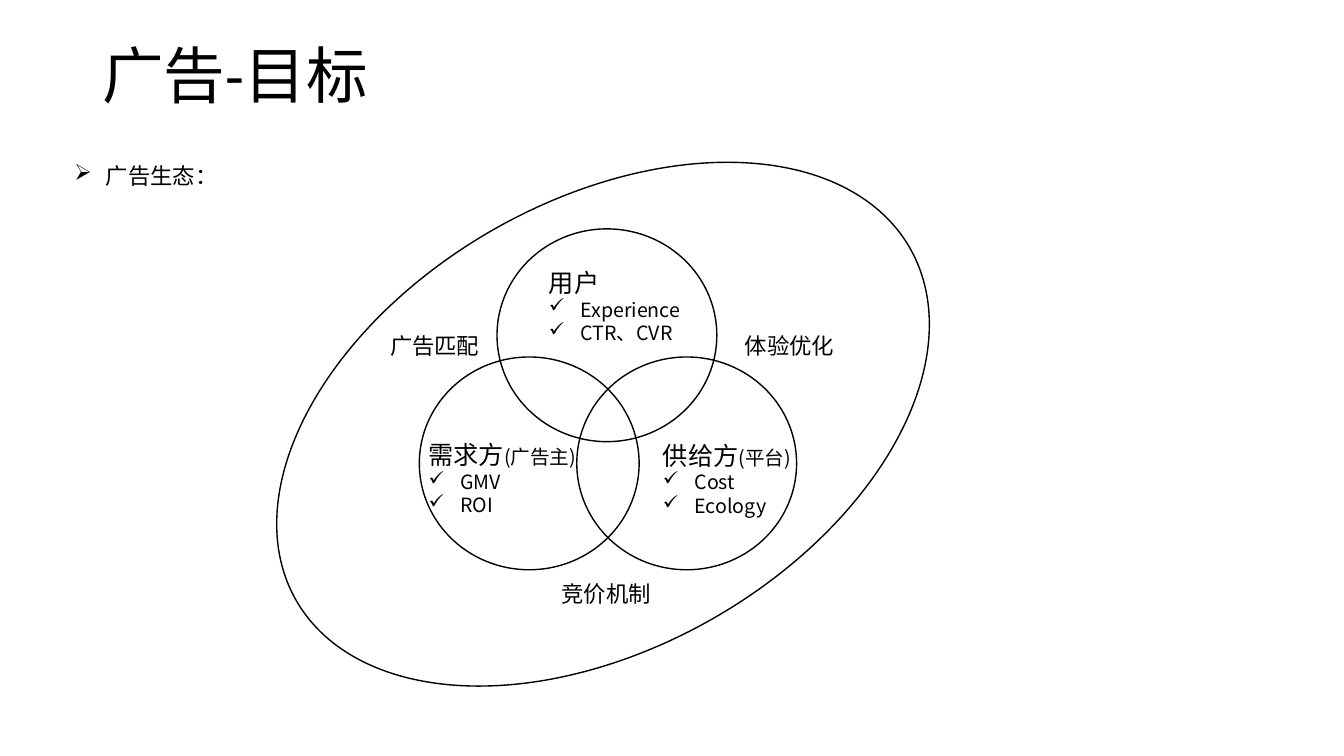
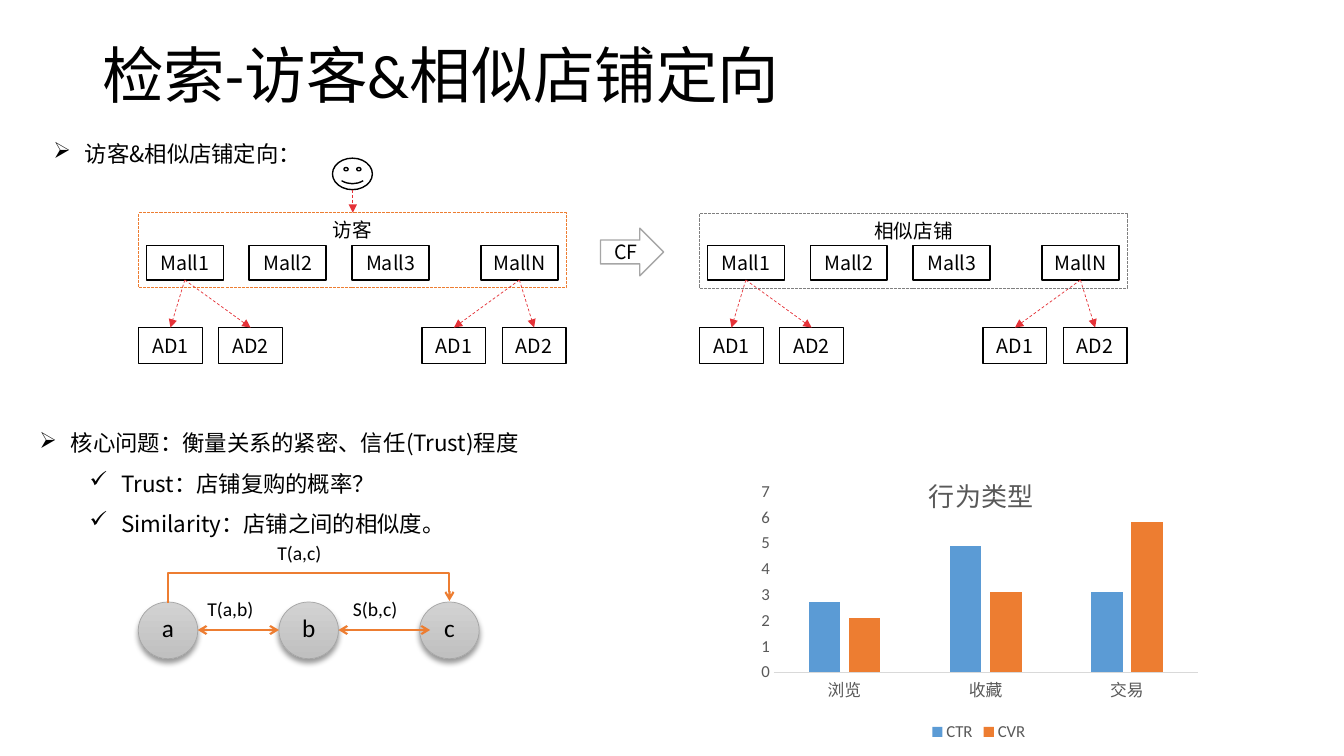
from dataclasses import dataclass

from lxml import etree
from pptx import Presentation
from pptx import util as u
from pptx.chart import data as chart_data
from pptx.dml import color as dml_color
from pptx.enum import chart as chart_enum
from pptx.enum import dml, shapes, text
from pptx.oxml import ns

Pt = u.Pt
SHAPE = shapes.MSO_SHAPE
LATIN, CJK = "Calibri", "Noto Sans CJK SC"
COLORS = {
    "ink": "000000", "orange": "ED7D31", "blue": "5B9BD5", "red": "E53238",
    "gray": "A6A6A6", "frame": "7F7F7F", "axis": "D9D9D9", "label": "595959",
    "node_top": "D2D2D2", "node_bottom": "C0C0C0", "node_edge": "A5A5A5",
}
CENTER, LEFT = text.PP_ALIGN.CENTER, text.PP_ALIGN.LEFT
TOP, MIDDLE = text.MSO_ANCHOR.TOP, text.MSO_ANCHOR.MIDDLE
BULLET_INDENT = 22.5


def rgb(name):
    return dml_color.RGBColor.from_string(COLORS[name])


def add_xml(parent, tag, **attributes):
    return etree.SubElement(parent, ns.qn(tag), {k: str(v) for k, v in attributes.items()})


@dataclass
class Para:
    runs: list
    bullet: str = ""
    margin: float = BULLET_INDENT
    spacing: float = 1.0


class Deck:
    """Shared style and the slide being drawn."""

    def __init__(self):
        self.prs = Presentation()
        self.prs.slide_width, self.prs.slide_height = Pt(960), Pt(540)
        self.slide = None

    def new_slide(self, title):
        self.slide = self.prs.slides.add_slide(self.prs.slide_layouts[6])
        self.text((66, 28.75, 828, 104.5), [Para([(title, 44)], spacing=0.9)], font=LATIN)

    def font(self, font, size, name=CJK, color="ink"):
        font.size, font.name = Pt(size), name
        font.color.rgb = rgb(color)

    def fill_text(self, frame, paras, font, align, anchor):
        frame.word_wrap, frame.vertical_anchor = True, anchor
        for index, para in enumerate(paras):
            p = frame.paragraphs[0] if index == 0 else frame.add_paragraph()
            p.alignment = align
            if para.bullet:
                props = p._p.get_or_add_pPr()
                props.set("marL", str(Pt(para.margin)))
                props.set("indent", str(-Pt(BULLET_INDENT)))
                add_xml(props, "a:buChar", char=para.bullet)
            if para.spacing != 1:
                p.line_spacing = para.spacing
            for words, size in para.runs:
                run = p.add_run()
                run.text = words
                if len(para.runs) > 1:
                    self.font(run.font, size, font)
            if len(para.runs) == 1:
                self.font(p.font, para.runs[0][1], font)

    def text(self, box, paras, font=CJK, align=LEFT, anchor=TOP):
        frame = self.slide.shapes.add_textbox(*map(Pt, box)).text_frame
        self.fill_text(frame, paras, font, align, anchor)

    def label(self, box, words, size=16, font=CJK, align=CENTER):
        self.text(box, [Para([(words, size)])], font, align)

    def shape(self, kind, box, words="", line="ink", width=1.0, dash=None, anchor=MIDDLE):
        shape = self.slide.shapes.add_shape(kind, *map(Pt, box))
        shape.shadow.inherit = False
        shape.fill.background()
        shape.line.color.rgb = rgb(line)
        shape.line.width = Pt(width)
        if dash:
            shape.line.dash_style = dash
        if words:
            self.fill_text(shape.text_frame, [Para([(words, 14)])], CJK, CENTER, anchor)
        return shape

    def node(self, box):
        node = self.shape(SHAPE.OVAL, box, line="node_edge", width=0.5)
        node.fill.gradient()
        node.fill.gradient_angle = 270
        for stop, name in zip(node.fill.gradient_stops, ("node_top", "node_bottom")):
            stop.color.rgb = rgb(name)
        effects = node._element.spPr.find(ns.qn("a:effectLst"))
        shadow = add_xml(effects, "a:outerShdw", blurRad=Pt(4), dist=Pt(3),
                         dir=5400000, rotWithShape=0)
        add_xml(add_xml(shadow, "a:srgbClr", val=COLORS["ink"]), "a:alpha", val=40000)

    def arrow(self, start, end, color="red", width=0.5, dash=dml.MSO_LINE.DASH,
              head=None, tail="triangle", kind=shapes.MSO_CONNECTOR.STRAIGHT):
        link = self.slide.shapes.add_connector(kind, *map(Pt, (*start, *end)))
        link.line.color.rgb = rgb(color)
        link.line.width = Pt(width)
        if dash:
            link.line.dash_style = dash
        outline = link._element.spPr.find(ns.qn("a:ln"))
        if head:
            add_xml(outline, "a:headEnd", type=head)
        add_xml(outline, "a:tailEnd", type=tail)
        add_xml(link._element.spPr, "a:effectLst")
        return link

    def relation(self, start, end, **options):
        return self.arrow(start, end, "orange", 1.5, None, tail="arrow", **options)

    def bridge(self, left, right, y, rise):
        middle, half, depth = (left + right) / 2, (right - left) / 2, 1.5
        link = self.relation((middle + depth / 2, y + half), (middle - depth / 2, y - half),
                             kind=shapes.MSO_CONNECTOR.ELBOW)
        props = link._element.spPr
        props.find(ns.qn("a:xfrm")).set("rot", "5400000")
        guides = props.find(ns.qn("a:prstGeom")).get_or_add_avLst()
        bend = round((rise + depth / 2) / depth * 100000)
        add_xml(guides, "a:gd", name="adj1", fmla=f"val {bend}")

    def place(self, parent, **edges):
        layout = parent.find(ns.qn("c:layout"))
        if layout is None:
            layout = add_xml(parent, "c:layout")
            parent.insert(0, layout)
        manual = add_xml(layout, "c:manualLayout")
        if "w" in edges:
            add_xml(manual, "c:layoutTarget", val="inner")
        for tag, value in (("xMode", "edge"), ("yMode", "edge"), *edges.items()):
            add_xml(manual, f"c:{tag}", val=value)

    def chart(self, box, title, categories, series):
        values = chart_data.CategoryChartData()
        values.categories = categories
        for name, numbers, _ in series:
            values.add_series(name, numbers)
        chart = self.slide.shapes.add_chart(
            chart_enum.XL_CHART_TYPE.COLUMN_CLUSTERED, *map(Pt, box), values).chart
        self.font(chart.font, 12, LATIN, "label")

        chart.has_title = True
        heading = chart.chart_title.text_frame.paragraphs[0]
        heading.add_run().text = title
        self.font(heading.font, 18.6, LATIN, "label")
        heading.font.bold = False
        title_xml = chart.chart_title._element
        self.place(title_xml, x=0.38, y=0.17)
        title_xml.find(ns.qn("c:overlay")).set("val", "1")
        self.place(chart._chartSpace.chart.plotArea, x=0.05, y=0.24, w=0.93, h=0.54)

        chart.has_legend = True
        chart.legend.position = chart_enum.XL_LEGEND_POSITION.BOTTOM
        chart.legend.include_in_layout = False
        self.font(chart.legend.font, 12, LATIN, "label")

        for axis in (chart.category_axis, chart.value_axis):
            axis.major_tick_mark = axis.minor_tick_mark = chart_enum.XL_TICK_MARK.NONE
            axis.has_major_gridlines = False
            self.font(axis.tick_labels.font, 12, LATIN, "label")
        chart.category_axis.format.line.color.rgb = rgb("axis")
        chart.category_axis.format.line.width = Pt(0.75)
        scale = chart.value_axis
        scale.format.line.fill.background()
        scale.minimum_scale, scale.maximum_scale, scale.major_unit = 0, 7, 1

        plot = chart.plots[0]
        plot.gap_width, plot.overlap, plot.vary_by_categories = 219, -27, False
        for bars, (_, _, color) in zip(plot.series, series):
            bars.format.fill.solid()
            bars.format.fill.fore_color.rgb = rgb(color)


def build_goals(deck):
    deck.new_slide("广告-目标")
    deck.text((46, 112.25, 164, 26.75), [Para([("广告生态：", 16)], "➢")])
    for left, top in ((355, 163.5), (299.5, 255), (412, 255)):
        deck.shape(SHAPE.OVAL, (left, top, 157, 152))
    parties = (
        ((299, 303, 137.5, 77), [("需求方", 18), ("(广告主)", 14)], ("GMV", "ROI")),
        ((466.5, 303.5, 111, 77), [("供给方", 18), ("(平台)", 14)], ("Cost", "Ecology")),
        ((385, 180, 111, 77), [("用户", 18)], ("Experience", "CTR、CVR")),
    )
    for box, heading, goals in parties:
        checks = [Para([(goal, 14)], "✓") for goal in goals]
        deck.text(box, [Para(heading), *checks], anchor=MIDDLE)
    deck.shape(SHAPE.OVAL, (178, 143.5, 505.5, 319)).rotation = 330.1
    for words, left, top in (("广告匹配", 263, 234), ("竞价机制", 385.5, 410.5),
                             ("体验优化", 516.5, 234)):
        deck.label((left, top, 95, 26.5), words)


def build_shop_group(deck, left, top, name, color):
    mall_top, mall_w, mall_h = 175.5, 55, 24.5
    ad_top, ad_w, ad_gap = 234, 45.5, 57.25
    deck.shape(SHAPE.RECTANGLE, (left, top, 305.5, 53.5), name, color, 0.75,
               dml.MSO_LINE.SQUARE_DOT, TOP)
    malls = {"Mall1": 5.5, "Mall2": 79, "Mall3": 152.5, "MallN": 244.5}
    for mall, offset in malls.items():
        deck.shape(SHAPE.RECTANGLE, (left + offset, mall_top, mall_w, mall_h), mall)
    for mall, first_ad in (("Mall1", 0), ("MallN", 202.5)):
        source = (left + malls[mall] + mall_w / 2, mall_top + mall_h)
        for index in range(2):
            ad_left = left + first_ad + index * ad_gap
            deck.shape(SHAPE.RECTANGLE, (ad_left, ad_top, ad_w, 25.5), f"AD{index + 1}")
            deck.arrow(source, (ad_left + ad_w / 2, ad_top))


def build_trust_graph(deck):
    first, step, size, axis_y = 98.75, 100.5, 42.5, 450
    lefts = [first + index * step for index in range(3)]
    for left, name in zip(lefts, "abc"):
        deck.node((left, 430, size, 40.5))
        deck.label((left - 10, 434, 62.5, 34), name, 18, LATIN)
    deck.relation((lefts[0] + size, axis_y), (lefts[1], axis_y), head="arrow")
    deck.relation((lefts[1] + size, axis_y), (lefts[2] + 7.5, axis_y), head="arrow")
    deck.bridge(lefts[0] + size / 2, lefts[2] + size / 2, 430, 20.5)
    for words, left, top in (("T(a,b)", 141, 422.5), ("S(b,c)", 245, 422.5),
                             ("T(a,c)", 191, 383)):
        deck.label((left, top, 58.5, 28), words, 14, LATIN, LEFT)


def build_retrieval(deck):
    deck.new_slide("检索-访客&相似店铺定向")
    deck.text((31, 96.5, 772, 46), [Para([("访客&相似店铺定向：", 16)], "➢")])
    deck.shape(SHAPE.SMILEY_FACE, (237.5, 113, 28.5, 22.5))
    deck.arrow((252, 135.5), (252, 152))
    build_shop_group(deck, 99, 152, "访客", "orange")
    build_shop_group(deck, 499.75, 152.5, "相似店铺", "frame")
    deck.shape(SHAPE.RIGHT_ARROW, (429, 163, 45, 34), "CF", "gray")
    questions = [Para([("核心问题：衡量关系的紧密、信任(Trust)程度", 16)], "➢", spacing=1.5)]
    questions += [Para([(words, 16)], "✓", 58.5, 1.5)
                  for words in ("Trust：店铺复购的概率？", "Similarity：店铺之间的相似度。")]
    deck.text((21, 293.75, 399.5, 91.5), questions)
    build_trust_graph(deck)
    deck.chart((536.5, 293.75, 325.5, 239), "行为类型", ("浏览", "收藏", "交易"),
               (("CTR", (2.7, 4.9, 3.1), "blue"), ("CVR", (2.1, 3.1, 5.8), "orange")))


def main():
    deck = Deck()
    build_goals(deck)
    build_retrieval(deck)
    deck.prs.save("out.pptx")


if __name__ == "__main__":
    main()
